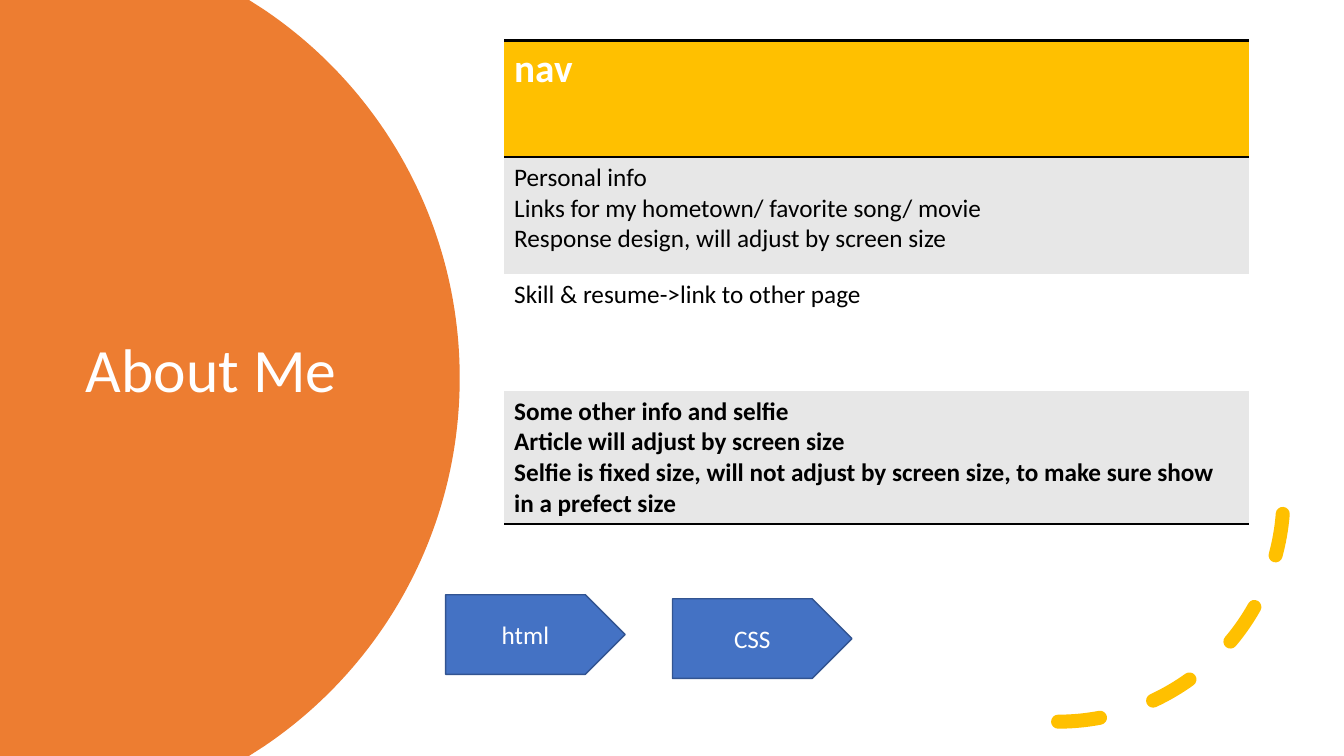
from lxml.etree import SubElement
from pptx import Presentation
from pptx.dml.color import RGBColor
from pptx.enum.dml import MSO_LINE
from pptx.enum.shapes import MSO_SHAPE
from pptx.enum.text import MSO_ANCHOR, MSO_AUTO_SIZE, PP_ALIGN
from pptx.oxml.ns import qn
from pptx.util import Inches, Pt

COLORS = {
    "orange": "ED7D31",
    "gold": "FFC000",
    "blue": "4472C4",
    "navy": "325491",
    "gray": "E7E7E7",
    "white": "FFFFFF",
    "black": "000000",
}
FONT = "Calibri"
NO_GRID_STYLE = "{2D5ABB26-0587-4C30-8999-92F81FD0307C}"
SECTIONS = [
    (["nav"], "gold", "white", 28, True, ("lnT", "lnB")),
    (
        [
            "Personal info",
            "Links for my hometown/ favorite song/ movie",
            "Response design, will adjust by screen size",
        ],
        "gray", "black", 18, False, (),
    ),
    (["Skill & resume->link to other page"], "white", "black", 18, False, ()),
    (
        [
            "Some other info and selfie",
            "Article will adjust by screen size",
            "Selfie is fixed size, will not adjust by screen size, "
            "to make sure show in a prefect size",
        ],
        "gray", "black", 18, True, ("lnB",),
    ),
]


def rgb(name):
    return RGBColor.from_string(COLORS[name])


def paint(target, name):
    target.fill.solid()
    target.fill.fore_color.rgb = rgb(name)


def style_text(paragraph, size, color, bold=False):
    font = paragraph.font
    font.name, font.size, font.bold = FONT, Pt(size), bold
    font.color.rgb = rgb(color)


def bend(segments):
    curve = segments[0].makeelement(qn("a:cubicBezTo"))
    segments[0].addprevious(curve)
    for segment in segments:
        curve.append(segment[0])
        segment.getparent().remove(segment)


def add_disc(slide, left, top, width, height):
    upper = [(2.09, 0), (1.95, 0.09), (0.77, 0.88), (0, 2.23)]
    lower = [(inset, height - drop) for inset, drop in reversed(upper)]
    rim = [
        (Inches(left + width - inset), Inches(top + drop))
        for inset, drop in upper + [(0, height / 2)] + lower
    ]
    builder = slide.shapes.build_freeform(Inches(left), Inches(top))
    builder.add_line_segments(rim + [(Inches(left), Inches(top + height))], close=True)
    disc = builder.convert_to_shape()
    segments = list(disc._element.iter(qn("a:lnTo")))
    bend(segments[2:5])
    bend(segments[5:8])
    disc.shadow.inherit = False
    paint(disc, "orange")
    disc.line.fill.background()
    return disc


def add_heading(slide, left, top, width, height):
    title = slide.shapes.title
    title.left, title.top = Inches(left), Inches(top)
    title.width, title.height = Inches(width), Inches(height)
    frame = title.text_frame
    frame.text = "About Me"
    frame.word_wrap = True
    frame.auto_size = MSO_AUTO_SIZE.NONE
    frame.vertical_anchor = MSO_ANCHOR.MIDDLE
    heading = frame.paragraphs[0]
    heading.alignment = PP_ALIGN.LEFT
    heading.line_spacing = 0.9
    style_text(heading, 44, "white")
    return title


def add_dashed_arc(slide, left, top, size):
    arc = slide.shapes.add_shape(
        MSO_SHAPE.ARC, Inches(left), Inches(top), Inches(size), Inches(size)
    )
    arc.shadow.inherit = False
    arc.fill.background()
    arc.line.color.rgb = rgb("gold")
    arc.line.width = Pt(10)
    arc.line.dash_style = MSO_LINE.DASH
    properties = arc._element.spPr
    properties.find(qn("a:xfrm")).set("flipV", "1")
    properties.find(qn("a:ln")).set("cap", "rnd")


def add_border(cell, edge):
    properties = cell._tc.get_or_add_tcPr()
    line = SubElement(properties, qn(f"a:{edge}"), w=str(Pt(2)))
    fill = SubElement(line, qn("a:solidFill"))
    SubElement(fill, qn("a:srgbClr"), val=COLORS["black"])


def add_section_table(slide, left, top, width, row_height):
    table_frame = slide.shapes.add_table(
        len(SECTIONS), 1, Inches(left), Inches(top),
        Inches(width), Inches(row_height * len(SECTIONS)),
    )
    table = table_frame.table
    table.first_row = table.horz_banding = False
    table._tbl.tblPr.find(qn("a:tableStyleId")).text = NO_GRID_STYLE
    for row, section in zip(table.rows, SECTIONS):
        lines, fill, color, size, bold, edges = section
        row.height = Inches(row_height)
        cell = row.cells[0]
        cell.text = "\n".join(lines)
        for paragraph in cell.text_frame.paragraphs:
            style_text(paragraph, size, color, bold)
        for edge in edges:
            add_border(cell, edge)
        paint(cell, fill)


def add_tag(slide, label, left, top, width, height):
    tag = slide.shapes.add_shape(
        MSO_SHAPE.PENTAGON, Inches(left), Inches(top), Inches(width), Inches(height)
    )
    tag.shadow.inherit = False
    paint(tag, "blue")
    tag.line.color.rgb = rgb("navy")
    tag.line.width = Pt(1)
    frame = tag.text_frame
    frame.text = label
    frame.vertical_anchor = MSO_ANCHOR.MIDDLE
    frame.paragraphs[0].alignment = PP_ALIGN.CENTER
    style_text(frame.paragraphs[0], 18, "white")


def build_about_slide(deck):
    slide = deck.slides.add_slide(deck.slide_layouts[5])
    disc = add_disc(slide, 0, 0, 4.56, 7.5)
    title = add_heading(slide, 0.75, 1.26, 3.5, 4.88)
    disc._element.addnext(title._element)
    add_dashed_arc(slide, 8.26, 2.69, 4.47)
    add_section_table(slide, 5, 0.4, 7.39, 1.16)
    for label, left, top in (("CSS", 6.67, 5.94), ("html", 4.42, 5.9)):
        add_tag(slide, label, left, top, 1.78, 0.79)


def main():
    deck = Presentation()
    deck.slide_width, deck.slide_height = Inches(13.33), Inches(7.5)
    build_about_slide(deck)
    deck.save("out.pptx")


if __name__ == "__main__":
    main()
